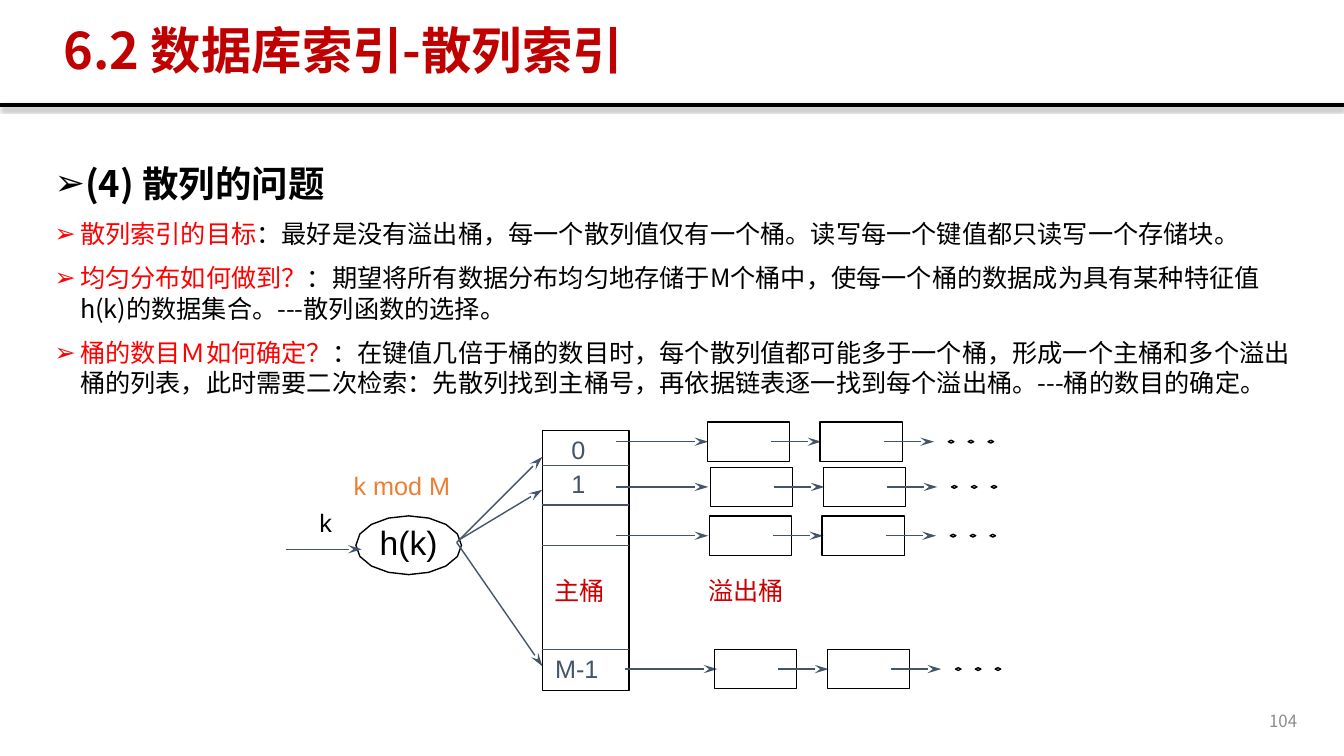
from math import cos, pi, sin

from pptx import Presentation
from pptx.dml.color import RGBColor
from pptx.enum.shapes import MSO_CONNECTOR, MSO_SHAPE
from pptx.enum.text import MSO_ANCHOR as Anchor, MSO_AUTO_SIZE as AutoSize, PP_ALIGN as Align
from pptx.oxml import parse_xml
from pptx.oxml.ns import nsdecls, qn
from pptx.util import Cm, Pt

COLORS = {
    "black": "000000", "title": "C00000", "red": "FF0000", "bucket": "CC0000",
    "slate": "44546A", "orange": "ED7D31", "gray": "8C8C8C",
}
CJK = "Noto Sans CJK SC"

HEADING = "(4) 散列的问题"
POINTS = [
    ("散列索引的目标",
     "：最好是没有溢出桶，每一个散列值仅有一个桶。读写每一个键值都只读写一个存储块。"),
    ("均匀分布如何做到？",
     "：期望将所有数据分布均匀地存储于M个桶中，使每一个桶的数据成为具有某种特征值h(k)的数据集合。"
     "---散列函数的选择。"),
    ("桶的数目Ｍ如何确定？",
     "：在键值几倍于桶的数目时，每个散列值都可能多于一个桶，形成一个主桶和多个溢出桶的列表，"
     "此时需要二次检索：先散列找到主桶号，再依据链表逐一找到每个溢出桶。---桶的数目的确定。"),
]

# Text, left, top, width, height, size, font, colour (lengths in cm)
LABELS = [
    ("k mod M", 8.66, 11.73, 3.38, 1.09, 18, "Arial", "orange"),
    ("h(k)", 9.32, 13.03, 2.06, 1.27, 24, "Arial", "black"),
    ("k", 7.8, 12.67, 0.91, 1.09, 18, "Arial", "black"),
    ("主桶", 13.72, 14.38, 1.93, 1.09, 18, "Courier New", "bucket"),
    ("溢出桶", 17.6, 14.38, 2.62, 1.09, 18, "Courier New", "bucket"),
    ("0", 14.15, 10.82, 0.91, 1.09, 18, "Arial", "slate"),
    ("1", 14.15, 11.68, 0.91, 1.09, 18, "Arial", "slate"),
    ("M-1", 13.74, 16.33, 1.73, 1.09, 18, "Arial", "slate"),
]

# Main bucket table and its overflow chains (cm)
BUCKET_LEFT, BUCKET_TOP, BUCKET_WIDTH, BUCKET_HEIGHT = 13.67, 10.85, 2.18, 6.55
DIVIDERS = [11.73, 12.73, 13.74, 16.36]
HASH_ARROWS = [  # from x, from y, to x, to y
    (7.21, 13.84, 9.12, 13.84),
    (11.56, 13.61, BUCKET_LEFT, 12.34),
    (11.51, 13.67, BUCKET_LEFT, 11.51),
    (11.51, 13.67, BUCKET_LEFT, 16.79),
]
CHAINS = [  # pointer start, first box left, middle
    (15.52, 17.83, 11.13), (15.52, 17.91, 12.27),
    (15.52, 17.88, 13.5), (15.75, 18.01, 16.86),
]
BOX_WIDTH, BOX_HEIGHT, BOX_STEP = 2.07, 0.99, 2.84
DOT_WIDTH, DOT_HEIGHT, DOT_STEP = 0.14, 0.07, 0.5


def color(name):
    return RGBColor.from_string(COLORS[name])


def write(paragraph, text, size=18, font=CJK, fill="black", bold=False):
    run = paragraph.add_run()
    run.text = text
    run.font.size = Pt(size)
    run.font.bold = bold
    run.font.color.rgb = color(fill)
    run.font.name = font
    run._r.get_or_add_rPr().append(
        parse_xml(f'<a:ea {nsdecls("a")} typeface="{CJK}"/>'))


def add_box(slide, left, top, width, height, wrap=True):
    box = slide.shapes.add_textbox(Cm(left), Cm(top), Cm(width), Cm(height))
    box.text_frame.word_wrap = wrap
    return box.text_frame


def outline(shape):
    shape.fill.background()
    shape.line.color.rgb = color("black")
    shape.line.width = Pt(1)
    shape.shadow.inherit = False


def add_outlined(slide, kind, left, top, width, height):
    outline(slide.shapes.add_shape(kind, Cm(left), Cm(top), Cm(width), Cm(height)))


def add_line(slide, x1, y1, x2, y2, arrow=False, fill="slate", width=1, effects=""):
    line = slide.shapes.add_connector(
        MSO_CONNECTOR.STRAIGHT, Cm(x1), Cm(y1), Cm(x2), Cm(y2))
    line.line.color.rgb = color(fill)
    line.line.width = Pt(width)
    properties = line._element.spPr
    if arrow:
        properties.find(qn("a:ln")).append(
            parse_xml(f'<a:tailEnd {nsdecls("a")} type="stealth" w="med" len="lg"/>'))
    properties.append(parse_xml(
        f'<a:effectLst {nsdecls("a")}>{effects}</a:effectLst>'))


def add_bullet(paragraph, spacing):
    paragraph.line_spacing = spacing
    properties = paragraph._p.get_or_add_pPr()
    properties.set("marL", str(Cm(0.64)))
    properties.set("indent", str(-Cm(0.64)))
    properties.append(parse_xml(f'<a:buFont {nsdecls("a")} typeface="Arial"/>'))
    properties.append(parse_xml(f'<a:buChar {nsdecls("a")} char="➢"/>'))


def add_title(slide):
    title = slide.shapes.title
    title.left, title.top, title.width, title.height = Cm(1.35), Cm(0.51), Cm(29.72), Cm(1.65)
    frame = title.text_frame
    frame.vertical_anchor = Anchor.MIDDLE
    frame.auto_size = AutoSize.SHAPE_TO_FIT_TEXT
    paragraph = frame.paragraphs[0]
    paragraph.alignment = Align.LEFT
    paragraph.line_spacing = 0.9
    write(paragraph, "6.2 数据库索引-散列索引", size=36, fill="title", bold=True)


def add_body(slide):
    frame = add_box(slide, 1.13, 3.38, 31.85, 14.07)
    heading = frame.paragraphs[0]
    heading.alignment = Align.JUSTIFY
    add_bullet(heading, 1.5)
    write(heading, HEADING, size=26, bold=True)
    for topic, explanation in POINTS:
        paragraph = frame.add_paragraph()
        paragraph.space_before = Pt(10)
        add_bullet(paragraph, 1.0)
        write(paragraph, topic, fill="red")
        write(paragraph, explanation)


def add_hash_node(slide, center_x=10.3, center_y=13.74, radius_x=1.33, radius_y=0.74, sides=16):
    corners = [(Cm(center_x + radius_x * cos(2 * pi * i / sides)),
                Cm(center_y + radius_y * sin(2 * pi * i / sides))) for i in range(sides)]
    builder = slide.shapes.build_freeform(*corners[0])
    builder.add_line_segments(corners[1:], close=True)
    outline(builder.convert_to_shape())


def add_chain(slide, start, left, middle):
    add_line(slide, start, middle, start + 2.33, middle, arrow=True)
    for i in range(2):
        box_left = left + i * BOX_STEP
        add_outlined(slide, MSO_SHAPE.RECTANGLE, box_left, middle - BOX_HEIGHT / 2,
                     BOX_WIDTH, BOX_HEIGHT)
        add_line(slide, box_left + 1.6, middle, box_left + 2.87, middle, arrow=True)
    for i in range(3):
        add_outlined(slide, MSO_SHAPE.DIAMOND, left + 6.07 + i * DOT_STEP,
                     middle - DOT_HEIGHT / 2, DOT_WIDTH, DOT_HEIGHT)


def add_diagram(slide):
    add_hash_node(slide)
    add_outlined(slide, MSO_SHAPE.RECTANGLE, BUCKET_LEFT, BUCKET_TOP, BUCKET_WIDTH, BUCKET_HEIGHT)
    for y in DIVIDERS:
        add_line(slide, BUCKET_LEFT, y, BUCKET_LEFT + BUCKET_WIDTH, y)
    for ends in HASH_ARROWS:
        add_line(slide, *ends, arrow=True)
    for chain in CHAINS:
        add_chain(slide, *chain)
    for text, left, top, width, height, size, font, fill in LABELS:
        frame = add_box(slide, left, top, width, height, wrap=False)
        frame.auto_size = AutoSize.SHAPE_TO_FIT_TEXT
        write(frame.paragraphs[0], text, size=size, font=font, fill=fill)


def add_page_number(slide):
    frame = add_box(slide, 25.32, 17.65, 7.62, 1.02)
    frame.vertical_anchor = Anchor.MIDDLE
    frame.paragraphs[0].alignment = Align.RIGHT
    write(frame.paragraphs[0], "104", size=12, fill="gray")


def main():
    presentation = Presentation()
    presentation.slide_width, presentation.slide_height = Cm(33.87), Cm(19.05)
    slide = presentation.slides.add_slide(presentation.slide_layouts[5])

    # Header rule with a soft shadow below
    shadow = (f'<a:outerShdw blurRad="{Pt(3.1)}" dist="{Pt(1.8)}" dir="5400000">'
              '<a:srgbClr val="000000"><a:alpha val="35000"/></a:srgbClr></a:outerShdw>')
    add_line(slide, 0, 2.64, 33.87, 2.64, fill="black", width=3, effects=shadow)

    add_title(slide)
    add_body(slide)
    add_diagram(slide)
    add_page_number(slide)
    presentation.save("out.pptx")


if __name__ == "__main__":
    main()
